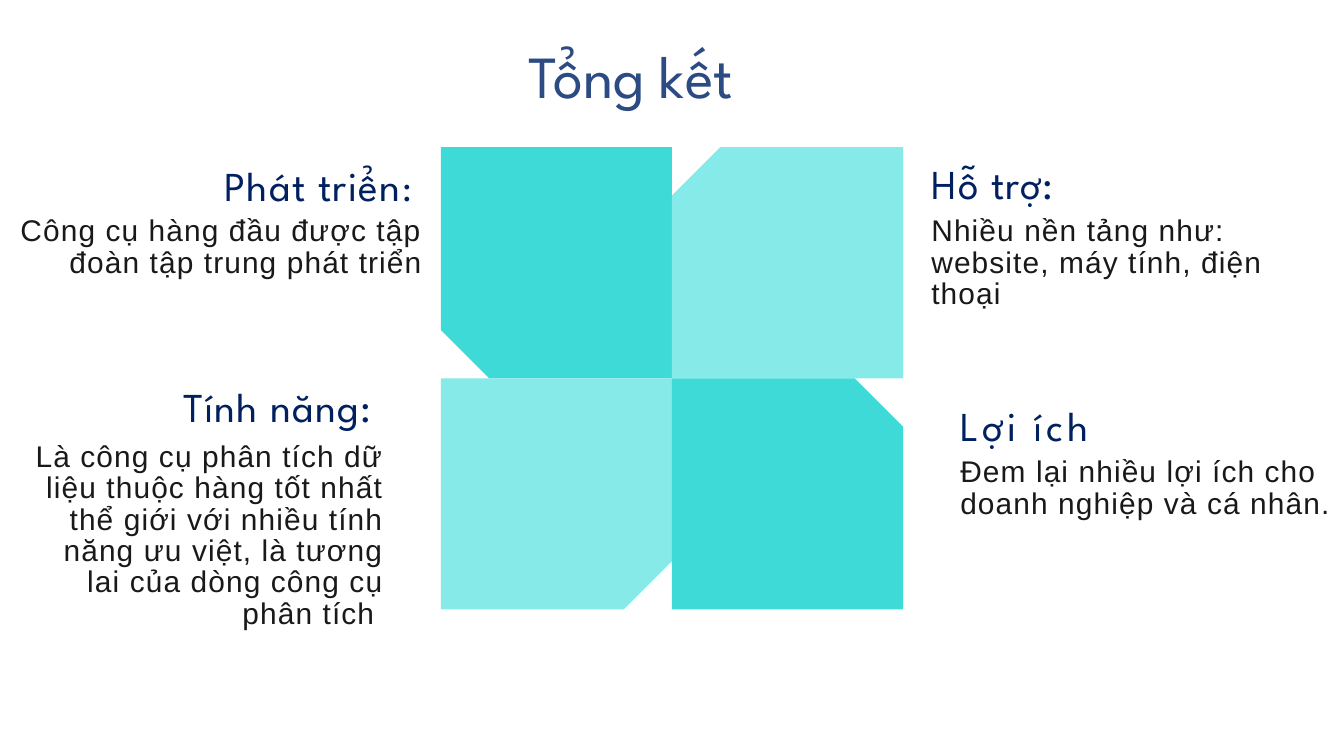
from pptx import Presentation
from pptx.dml.color import RGBColor
from pptx.enum.text import MSO_AUTO_SIZE, PP_ALIGN
from pptx.util import Inches, Pt

NAVY = RGBColor(0x00, 0x20, 0x60)
BLUE = RGBColor(0x2B, 0x4B, 0x82)
CHARCOAL = RGBColor(0x19, 0x19, 0x19)
TURQUOISE = RGBColor(0x3E, 0xDA, 0xD8)
PALE_TURQUOISE = RGBColor(0x86, 0xEA, 0xE9)

LEFT, RIGHT = PP_ALIGN.LEFT, PP_ALIGN.RIGHT
FIT_SHAPE = MSO_AUTO_SIZE.SHAPE_TO_FIT_TEXT
HEADING_FONT = "League Spartan"
BODY_FONT = "Arial"

TILE_LEFT, TILE_TOP, TILE_SIZE, TILE_CUT = 6.56, 2.19, 3.44, 0.72

# Column, row, cut corner (clockwise from top left), colour
TILES = [
    (0, 0, 3, TURQUOISE),
    (1, 0, 0, PALE_TURQUOISE),
    (0, 1, 2, PALE_TURQUOISE),
    (1, 1, 1, TURQUOISE),
]

# Alignment, heading runs (text, size), letter spacing, heading box, body, body box
TOPICS = [
    (RIGHT, [("Phát triển", 44), (":", 40)], 1.4, (0, 2.62, 6.13, 1),
     "Công cụ hàng đầu được tập đoàn tập trung phát triển", (0.15, 3.22, 6.13, 1.88)),
    (LEFT, [("Hỗ trợ:", 44)], 1.4, (13.86, 2.58, 5.02, 0.56),
     "Nhiều nền tảng như: website, máy tính, điện thoại", (13.86, 3.22, 5.54, 1.43)),
    (RIGHT, [("Tính năng: ", 44)], 1.4, (1.12, 5.9, 4.58, 1.5),
     "Là công cụ phân tích dữ liệu thuộc hàng tốt nhất thể giới với nhiều tính năng "
     "ưu việt, là tương lai của dòng công cụ phân tích ", (0.52, 6.58, 5.19, 2.86)),
    (LEFT, [("Lợi ích", 44)], 4.3, (14.29, 6.18, 5.54, 0.56),
     "Đem lại nhiều lợi ích cho doanh nghiệp và cá nhân.", (14.29, 6.81, 5.54, 0.95)),
]


def add_text(slide, box, runs, font_name, color, line_height, alignment=LEFT, spacing=0):
    """Add a one-paragraph text box; spacing is the letter spacing in points."""
    shape = slide.shapes.add_textbox(*(Inches(length) for length in box))
    text_frame = shape.text_frame
    text_frame.word_wrap = True
    text_frame.auto_size = FIT_SHAPE
    text_frame.margin_left = text_frame.margin_right = 0
    text_frame.margin_top = text_frame.margin_bottom = 0
    paragraph = text_frame.paragraphs[0]
    paragraph.alignment = alignment
    paragraph.line_spacing = Pt(line_height)
    for text, size in runs:
        run = paragraph.add_run()
        run.text = text
        run.font.name = font_name
        run.font.size = Pt(size)
        run.font.color.rgb = color
        if spacing:
            run.font._element.set("spc", str(round(spacing * 100)))


def add_tile(slide, column, row, cut_corner, color):
    """Add a square tile with one corner cut off."""
    left = TILE_LEFT + column * TILE_SIZE
    top = TILE_TOP + row * TILE_SIZE
    right, bottom = left + TILE_SIZE, top + TILE_SIZE
    corners = [(left, top), (right, top), (right, bottom), (left, bottom)]
    x, y = corners[cut_corner]
    share = TILE_CUT / TILE_SIZE
    neighbours = (corners[cut_corner - 1], corners[(cut_corner + 1) % 4])
    corners[cut_corner:cut_corner + 1] = [
        (x + (next_x - x) * share, y + (next_y - y) * share)
        for next_x, next_y in neighbours
    ]
    points = [(Inches(x), Inches(y)) for x, y in corners]
    builder = slide.shapes.build_freeform(*points[0])
    builder.add_line_segments(points[1:], close=True)
    shape = builder.convert_to_shape()
    shape.shadow.inherit = False
    shape.fill.solid()
    shape.fill.fore_color.rgb = color
    shape.line.fill.background()


def add_topic(slide, alignment, heading, spacing, heading_box, body, body_box):
    add_text(slide, heading_box, heading, HEADING_FONT, NAVY, 36.4, alignment, spacing)
    add_text(slide, body_box, [(body, 32)], BODY_FONT, CHARCOAL, 33.6, alignment, 1.2)


def main():
    presentation = Presentation()
    presentation.slide_width = Inches(20)
    presentation.slide_height = Inches(11.25)
    slide = presentation.slides.add_slide(presentation.slide_layouts[6])
    for topic in TOPICS:
        add_topic(slide, *topic)
    for tile in TILES:
        add_tile(slide, *tile)
    add_text(slide, (7.87, 0.57, 4.26, 1.08), [("Tổng kết", 64)], HEADING_FONT, BLUE, 76.8)
    presentation.save("out.pptx")


if __name__ == "__main__":
    main()
